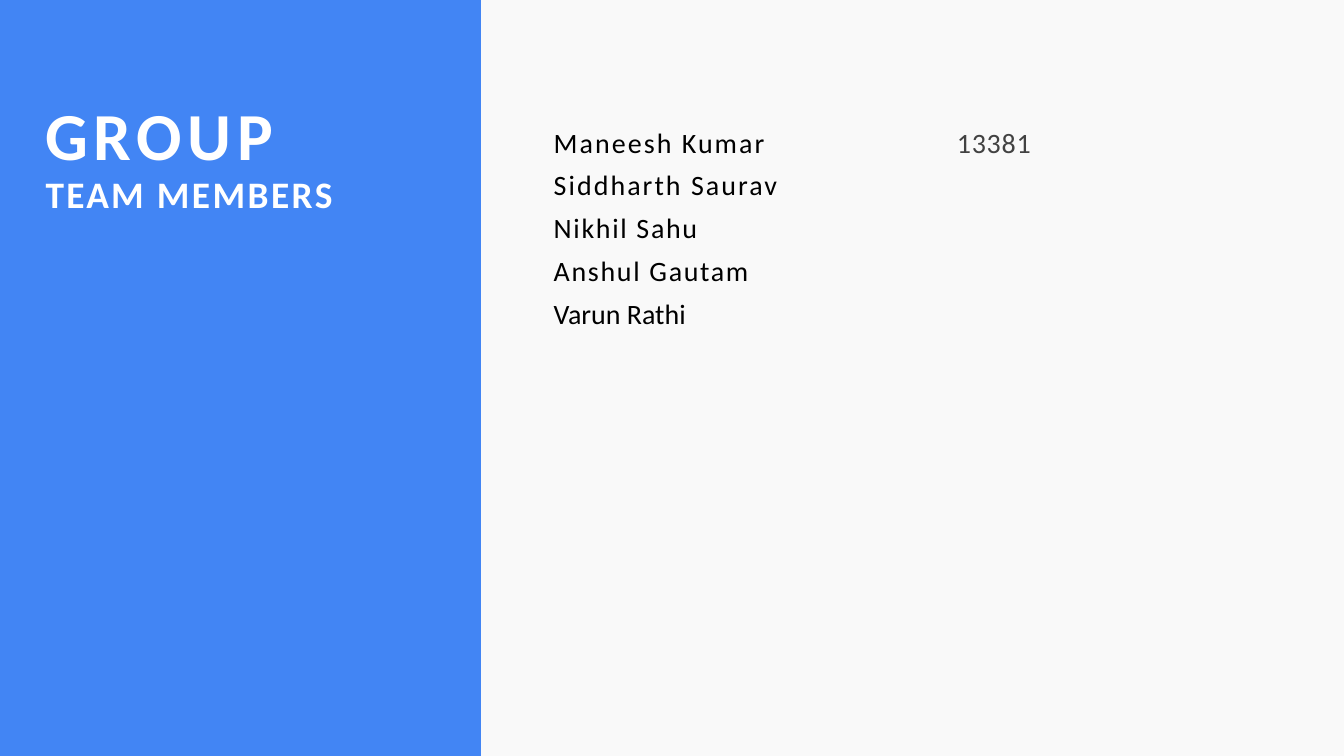
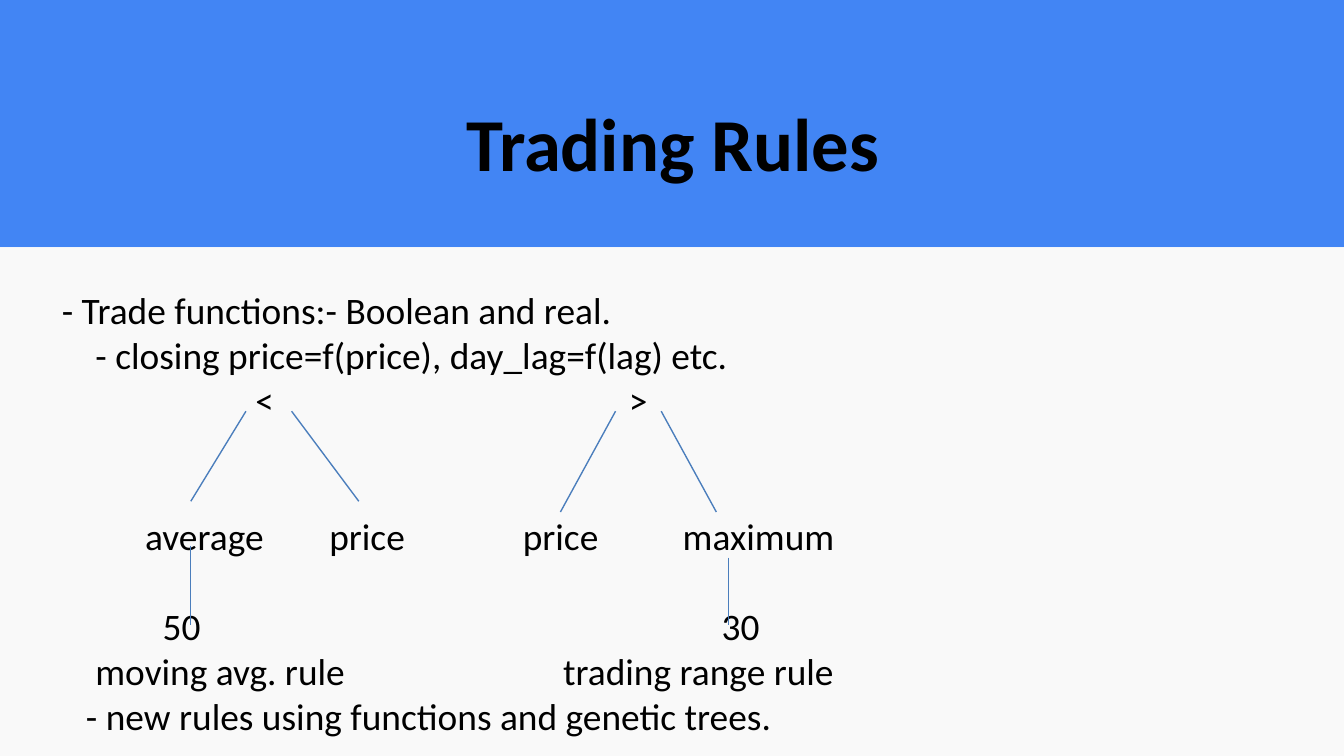
from dataclasses import dataclass

import lxml.etree
import pptx
import pptx.dml.color
import pptx.enum.shapes
import pptx.enum.text
import pptx.oxml.ns
import pptx.presentation
import pptx.shapes.base
import pptx.slide
import pptx.text.text
import pptx.util

Inches = pptx.util.Inches
Pt = pptx.util.Pt
RGBColor = pptx.dml.color.RGBColor
qualified = pptx.oxml.ns.qn

BLUE = RGBColor(0x42, 0x85, 0xF4)
PALE = RGBColor(0xF9, 0xF9, 0xF9)
WHITE = RGBColor(0xFF, 0xFF, 0xFF)
BLACK = RGBColor(0x00, 0x00, 0x00)
GRAY = RGBColor(0x42, 0x42, 0x42)
BRANCH_BLUE = RGBColor(0x4B, 0x7E, 0xBC)

FONT = "Calibri"
SLIDE_WIDTH = 10
SLIDE_HEIGHT = SLIDE_WIDTH * 9 / 16
TEXT_LEFT, TEXT_WIDTH = 0.33, 9.35
TITLE_TOP = 0.72
SIDEBAR_WIDTH = 3.58
HEADER_HEIGHT = 1.84
BODY_LINE = 24.4
PLAIN_TABLE_STYLE = "{2D5ABB26-0587-4C30-8999-92F81FD0307C}"


@dataclass(frozen=True)
class Box:
    left: float
    top: float
    width: float
    height: float


@dataclass(frozen=True)
class TextStyle:
    size: float
    color: RGBColor = BLACK
    bold: bool = False


@dataclass(frozen=True)
class SpacedText:
    text: str
    spacing: float


@dataclass(frozen=True)
class Column:
    offset: float
    text: str


@dataclass(frozen=True)
class BodyRow:
    columns: tuple[Column, ...]
    skipped_lines: int = 0


@dataclass(frozen=True)
class Branch:
    start_x: float
    start_y: float
    end_x: float
    end_y: float


MEMBERS = (
    SpacedText("Maneesh Kumar", 1.1),
    SpacedText("Siddharth Saurav", 1.1),
    SpacedText("Nikhil Sahu", 0.9),
    SpacedText("Anshul Gautam", 0.9),
    SpacedText("Varun Rathi", 0),
)
ROLL_NUMBER = SpacedText("13381", 0.4)
COLUMN_WIDTHS = (2.73, 0.87)
ROW_HEIGHTS = (0.26, *[0.32] * 5, 0.36, *[0.32] * 4)

RULES = (
    BodyRow((Column(0.13, "- Trade functions:- Boolean and real."),)),
    BodyRow((Column(0.38, "- closing price=f(price), day_lag=f(lag) etc."),)),
    BodyRow((Column(1.57, "<"), Column(4.35, ">"))),
    BodyRow(
        (
            Column(0.75, "average"),
            Column(2.12, "price"),
            Column(3.56, "price"),
            Column(4.75, "maximum"),
        ),
        skipped_lines=2,
    ),
    BodyRow((Column(0.88, "50"), Column(5.04, "30")), skipped_lines=1),
    BodyRow((Column(0.38, "moving avg. rule"), Column(3.86, "trading range rule"))),
    BodyRow((Column(0.31, "- new rules using functions and genetic trees."),)),
)

BRANCHES = (
    Branch(1.83, 3.06, 1.42, 3.73),
    Branch(2.17, 3.06, 2.67, 3.73),
    Branch(1.42, 4.06, 1.42, 4.65),
    Branch(4.58, 3.06, 4.17, 3.81),
    Branch(4.92, 3.06, 5.33, 3.81),
    Branch(5.42, 4.15, 5.42, 4.65),
)


def add_background(slide: pptx.slide.Slide, bands: tuple[tuple[Box, RGBColor], ...]) -> None:
    for position, (box, color) in enumerate(bands, start=2):
        shape = slide.shapes.add_shape(
            pptx.enum.shapes.MSO_SHAPE.RECTANGLE,
            Inches(box.left), Inches(box.top), Inches(box.width), Inches(box.height),
        )
        shape.shadow.inherit = False
        shape.fill.solid()
        shape.fill.fore_color.rgb = color
        shape.line.fill.background()
        slide.shapes.element.insert(position, shape.element)


def place_text(shape: pptx.shapes.base.BaseShape, top: float, height: float) -> pptx.text.text.TextFrame:
    shape.left, shape.top = Inches(TEXT_LEFT), Inches(top)
    shape.width, shape.height = Inches(TEXT_WIDTH), Inches(height)
    frame = shape.text_frame
    frame.margin_left = frame.margin_top = frame.margin_right = frame.margin_bottom = 0
    frame.vertical_anchor = pptx.enum.text.MSO_ANCHOR.TOP
    frame.auto_size = pptx.enum.text.MSO_AUTO_SIZE.NONE
    frame.word_wrap = True
    return frame


def format_paragraph(paragraph: pptx.text.text._Paragraph, style: TextStyle, indent: float = 0) -> None:
    paragraph._p.get_or_add_pPr().set("marL", str(Inches(indent)))
    font = paragraph.font
    font.name = FONT
    font.size = Pt(style.size)
    font.bold = style.bold
    font.color.rgb = style.color


def add_spaced_run(paragraph: pptx.text.text._Paragraph, part: SpacedText) -> None:
    run = paragraph.add_run()
    run.text = part.text
    run._r.get_or_add_rPr().set("spc", str(round(part.spacing * 100)))


def clear_body_indent(presentation: pptx.presentation.Presentation) -> None:
    body_style = presentation.slide_master.element.find(".//" + qualified("p:bodyStyle"))
    del body_style.find(qualified("a:lvl1pPr")).attrib["indent"]


def remove_bullet_and_set_tabs(paragraph: pptx.text.text._Paragraph, offsets: list[float]) -> None:
    properties = paragraph._p.get_or_add_pPr()
    lxml.etree.SubElement(properties, qualified("a:buNone"))
    if offsets:
        tab_list = lxml.etree.SubElement(properties, qualified("a:tabLst"))
        for offset in offsets:
            lxml.etree.SubElement(tab_list, qualified("a:tab"), pos=str(Inches(offset)), algn="l")


def add_body_row(paragraph: pptx.text.text._Paragraph, row: BodyRow) -> None:
    paragraph.line_spacing = 1.0
    paragraph.space_before = Pt(row.skipped_lines * BODY_LINE)
    paragraph.space_after = Pt(0)
    if len(row.columns) == 1:
        paragraph.text = row.columns[0].text
        indent, tabs = row.columns[0].offset, []
    else:
        paragraph.text = "".join("\t" + column.text for column in row.columns)
        indent, tabs = 0, [column.offset for column in row.columns]
    remove_bullet_and_set_tabs(paragraph, tabs)
    format_paragraph(paragraph, TextStyle(20), indent)


def add_branch(slide: pptx.slide.Slide, branch: Branch) -> None:
    connector = slide.shapes.add_connector(
        pptx.enum.shapes.MSO_CONNECTOR.STRAIGHT,
        Inches(branch.start_x), Inches(branch.start_y),
        Inches(branch.end_x), Inches(branch.end_y),
    )
    connector.line.color.rgb = BRANCH_BLUE
    connector.line.width = Pt(0.75)
    lxml.etree.SubElement(connector.element.spPr, qualified("a:effectLst"))


def add_member_table(slide: pptx.slide.Slide) -> None:
    table = slide.shapes.add_table(
        len(ROW_HEIGHTS), len(COLUMN_WIDTHS),
        Inches(4.1), Inches(1), Inches(sum(COLUMN_WIDTHS)), Inches(sum(ROW_HEIGHTS)),
    ).table
    table.first_row = table.horz_banding = False
    table._tbl.tblPr.find(qualified("a:tableStyleId")).text = PLAIN_TABLE_STYLE
    for column, width in zip(table.columns, COLUMN_WIDTHS):
        column.width = Inches(width)
    for row, height in zip(table.rows, ROW_HEIGHTS):
        row.height = Inches(height)
    for cell in table.iter_cells():
        cell.margin_left = cell.margin_top = cell.margin_right = cell.margin_bottom = 0
        cell.fill.solid()
        cell.fill.fore_color.rgb = PALE
    for index, member in enumerate(MEMBERS):
        paragraph = table.cell(index, 0).text_frame.paragraphs[0]
        add_spaced_run(paragraph, member)
        if index == 0:
            paragraph.line_spacing = Pt(14.3)
        else:
            paragraph.space_before = Pt(1.6)
        format_paragraph(paragraph, TextStyle(15), 0.02)
    paragraph = table.cell(0, 1).text_frame.paragraphs[0]
    add_spaced_run(paragraph, ROLL_NUMBER)
    paragraph.line_spacing = Pt(14.3)
    format_paragraph(paragraph, TextStyle(15, GRAY), 0.29)


def build_team_slide(presentation: pptx.presentation.Presentation) -> None:
    slide = presentation.slides.add_slide(presentation.slide_layouts[5])
    add_background(slide, (
        (Box(0, 0, SIDEBAR_WIDTH, SLIDE_HEIGHT), BLUE),
        (Box(SIDEBAR_WIDTH, 0, SLIDE_WIDTH - SIDEBAR_WIDTH, SLIDE_HEIGHT), PALE),
    ))
    frame = place_text(slide.shapes.title, TITLE_TOP, 0.91)
    title_lines = (
        (36, 41.5, (SpacedText("GROUP", 3),)),
        (20, 22.3, (SpacedText("TEAM ", 1.2), SpacedText("MEMBERS", 1.3))),
    )
    for index, (size, leading, parts) in enumerate(title_lines):
        paragraph = frame.add_paragraph() if index else frame.paragraphs[0]
        for part in parts:
            add_spaced_run(paragraph, part)
        paragraph.alignment = pptx.enum.text.PP_ALIGN.LEFT
        paragraph.line_spacing = Pt(leading)
        format_paragraph(paragraph, TextStyle(size, WHITE, True), 0.01)
    add_member_table(slide)


def build_rules_slide(presentation: pptx.presentation.Presentation) -> None:
    slide = presentation.slides.add_slide(presentation.slide_layouts[1])
    add_background(slide, (
        (Box(0, 0, SLIDE_WIDTH, HEADER_HEIGHT), BLUE),
        (Box(0, HEADER_HEIGHT, SLIDE_WIDTH, SLIDE_HEIGHT - HEADER_HEIGHT), PALE),
    ))
    title = place_text(slide.shapes.title, TITLE_TOP, 0.67)
    title.text = "Trading Rules"
    title.paragraphs[0].alignment = pptx.enum.text.PP_ALIGN.CENTER
    format_paragraph(title.paragraphs[0], TextStyle(40, bold=True))
    body = place_text(slide.placeholders[1], 2.14, 3.37)
    for index, row in enumerate(RULES):
        add_body_row(body.add_paragraph() if index else body.paragraphs[0], row)
    for branch in BRANCHES:
        add_branch(slide, branch)


def main() -> None:
    presentation = pptx.Presentation()
    presentation.slide_width = Inches(SLIDE_WIDTH)
    presentation.slide_height = Inches(SLIDE_HEIGHT)
    clear_body_indent(presentation)
    build_team_slide(presentation)
    build_rules_slide(presentation)
    presentation.save("out.pptx")


if __name__ == "__main__":
    main()
